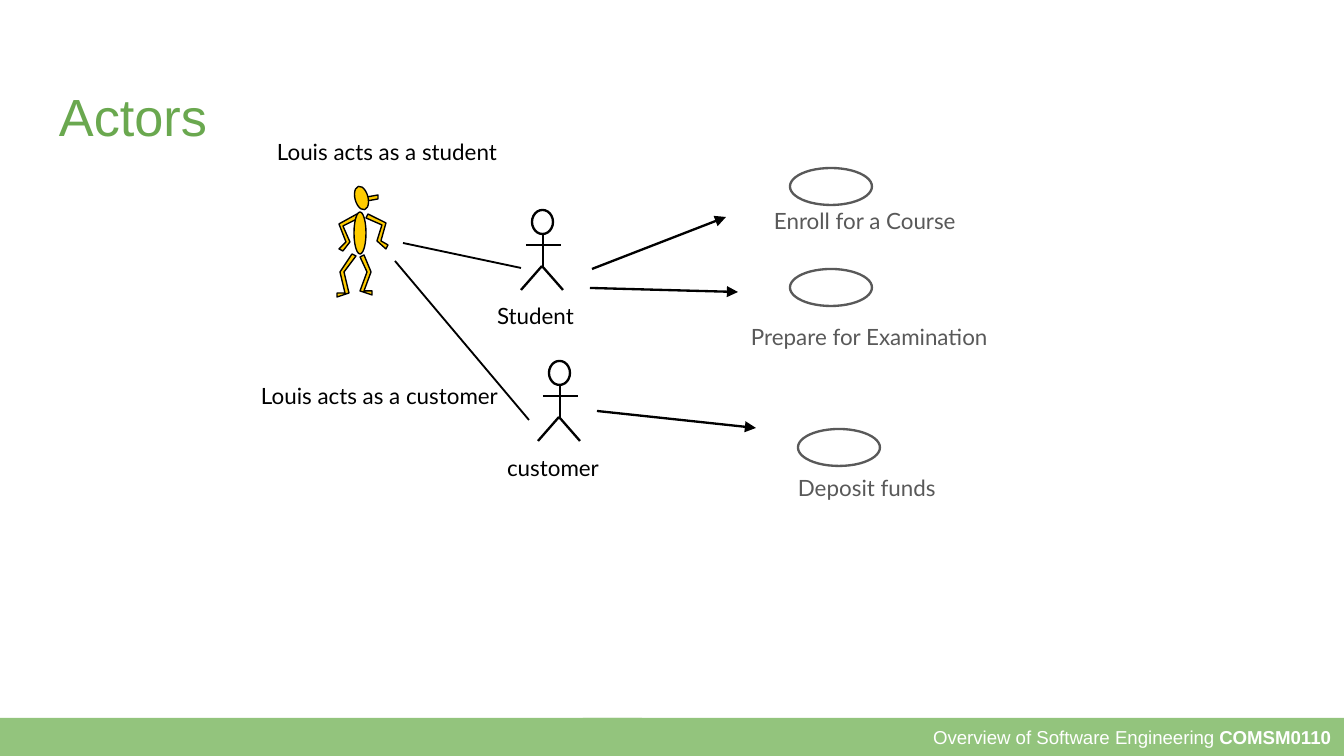
from math import hypot

from lxml.etree import SubElement
from pptx import Presentation
from pptx.dml.color import RGBColor
from pptx.enum.shapes import MSO_CONNECTOR, MSO_SHAPE
from pptx.enum.text import MSO_ANCHOR, PP_ALIGN
from pptx.oxml.ns import qn
from pptx.util import Pt

PX = 914400 / 134.4
BLACK = RGBColor(0x00, 0x00, 0x00)
WHITE = RGBColor(0xFF, 0xFF, 0xFF)
GRAY = RGBColor(0x59, 0x59, 0x59)
GREEN = RGBColor(0x6A, 0xA8, 0x4F)
BAR_GREEN = RGBColor(0x93, 0xC4, 0x7D)
YELLOW = RGBColor(0xFF, 0xCC, 0x00)

TITLE = "Actors"
FOOTER = [("Overview of Software Engineering ", False), ("COMSM0110", True)]
FOOTER_BARS = [(583, 718, 761, 38), (0, 718, 642, 38)]

LABELS = [
    ("Louis acts as a student", (269, 134, 300, 36), BLACK, (8, 4)),
    ("Louis acts as a customer", (253, 378, 261, 63), BLACK, (8, 4)),
    ("Student", (489, 298, 99, 36), BLACK, (8, 4)),
    ("customer", (499, 450, 117, 36), BLACK, (8, 4)),
    ("Enroll for a Course", (761, 200, 214, 67), GRAY, (13, 7)),
    ("Prepare for Examination", (743, 319, 274, 36), GRAY, (8, 4)),
    ("Deposit funds", (790, 470, 194, 36), GRAY, (8, 4)),
]
USE_CASES = [(790, 168), (790, 269), (798, 429)]
USE_CASE_SIZE = (82, 37)

ACTORS = [(521, 210), (538, 361)]
ACTOR_HEAD = (11, 0, 21, 24)
ACTOR_LIMBS = [(22, 24, 22, 56), (5, 35, 40, 35), (21, 56, 42, 80), (21, 56, 0, 80)]

ROLE_LINKS = [(403, 243, 521, 268), (395, 261, 529, 420)]
USE_ARROWS = [(592, 269, 726, 217), (590, 288, 738, 292), (597, 411, 756, 428)]

LOUIS_OVALS = [((355, 186, 13, 24), -15), ((354, 212, 12, 42), 0)]
LOUIS_LIMBS = [
    [(367, 199), (378, 197)],
    [(367, 216), (384, 224), (379, 241), (387, 247)],
    [(358, 216), (341, 225), (348, 242), (341, 250)],
    [(362, 256), (369, 272), (362, 291), (372, 293)],
    [(354, 255), (342, 272), (347, 293), (337, 295)],
]
LIMB_HALF_WIDTH = 2


def emu(*lengths):
    return [round(n * PX) for n in lengths]


def set_insets(tf, x, top, bottom):
    tf.margin_left, tf.margin_right, tf.margin_top, tf.margin_bottom = emu(x, x, top, bottom)
    tf.word_wrap = True


def set_font(p, name, size, color):
    p.font.name, p.font.size = name, Pt(size)
    p.font.color.rgb = color


def style(sp, fill=None, line=None, width=1.25):
    sp.shadow.inherit = False
    if fill is None:
        sp.fill.background()
    else:
        sp.fill.solid()
        sp.fill.fore_color.rgb = fill
    if line is None:
        sp.line.fill.background()
    else:
        sp.line.color.rgb = line
        sp.line.width = Pt(width)


def add_line(shapes, ends, width=1.25, arrow=False):
    cxn = shapes.add_connector(MSO_CONNECTOR.STRAIGHT, *emu(*ends))
    cxn.line.color.rgb = BLACK
    cxn.line.width = Pt(width)
    if arrow:
        SubElement(cxn.line._get_or_add_ln(), qn("a:tailEnd"), type="triangle")
    SubElement(cxn._element.spPr, qn("a:effectLst"))


def add_oval(shapes, box):
    return shapes.add_shape(MSO_SHAPE.OVAL, *emu(*box))


def limb_outline(joints):
    left, right = [], []
    for i, (x, y) in enumerate(joints):
        x1, y1 = joints[max(i - 1, 0)]
        x2, y2 = joints[min(i + 1, len(joints) - 1)]
        k = LIMB_HALF_WIDTH / hypot(x2 - x1, y2 - y1)
        dx, dy = (y2 - y1) * k, (x1 - x2) * k
        left.append((x + dx, y + dy))
        right.append((x - dx, y - dy))
    return left + right[::-1]


prs = Presentation()
prs.slide_width, prs.slide_height = emu(1344, 756)
s = prs.slides.add_slide(prs.slide_layouts[5])

title = s.shapes.title
title.left, title.top, title.width, title.height = emu(46, 66, 1253, 84)
tf = title.text_frame
tf.text = TITLE
tf.vertical_anchor = MSO_ANCHOR.TOP
set_insets(tf, 13, 18, 0)
p = tf.paragraphs[0]
p.alignment = PP_ALIGN.LEFT
set_font(p, "Arial", 28, GREEN)

bars = [s.shapes.add_shape(MSO_SHAPE.RECTANGLE, *emu(*box)) for box in FOOTER_BARS]
for bar in bars:
    style(bar, BAR_GREEN)
tf = bars[0].text_frame
tf.vertical_anchor = MSO_ANCHOR.MIDDLE
set_insets(tf, 13, 13, 13)
p = tf.paragraphs[0]
p.alignment = PP_ALIGN.RIGHT
set_font(p, "Arial", 10, WHITE)
for text, bold in FOOTER:
    r = p.add_run()
    r.text, r.font.bold = text, bold

louis = s.shapes.add_group_shape()
for joints in LOUIS_LIMBS:
    start, *rest = limb_outline(joints)
    builder = louis.shapes.build_freeform(*start, scale=PX)
    builder.add_line_segments(rest, close=True)
    style(builder.convert_to_shape(), YELLOW, BLACK, 0.75)
for box, angle in LOUIS_OVALS:
    sp = add_oval(louis.shapes, box)
    sp.rotation = angle
    style(sp, YELLOW, BLACK, 0.75)

for x, y in ACTORS:
    actor = s.shapes.add_group_shape()
    hx, hy, w, h = ACTOR_HEAD
    style(add_oval(actor.shapes, (x + hx, y + hy, w, h)), line=BLACK)
    for x1, y1, x2, y2 in ACTOR_LIMBS:
        add_line(actor.shapes, (x + x1, y + y1, x + x2, y + y2))

for corner in USE_CASES:
    style(add_oval(s.shapes, corner + USE_CASE_SIZE), line=GRAY)
for ends in ROLE_LINKS:
    add_line(s.shapes, ends, width=1)
for ends in USE_ARROWS:
    add_line(s.shapes, ends, arrow=True)

for text, box, color, (inset_x, inset_y) in LABELS:
    tf = s.shapes.add_textbox(*emu(*box)).text_frame
    tf.text = text
    set_insets(tf, inset_x, inset_y, inset_y)
    set_font(tf.paragraphs[0], "Lato", 12, color)

prs.save("out.pptx")
